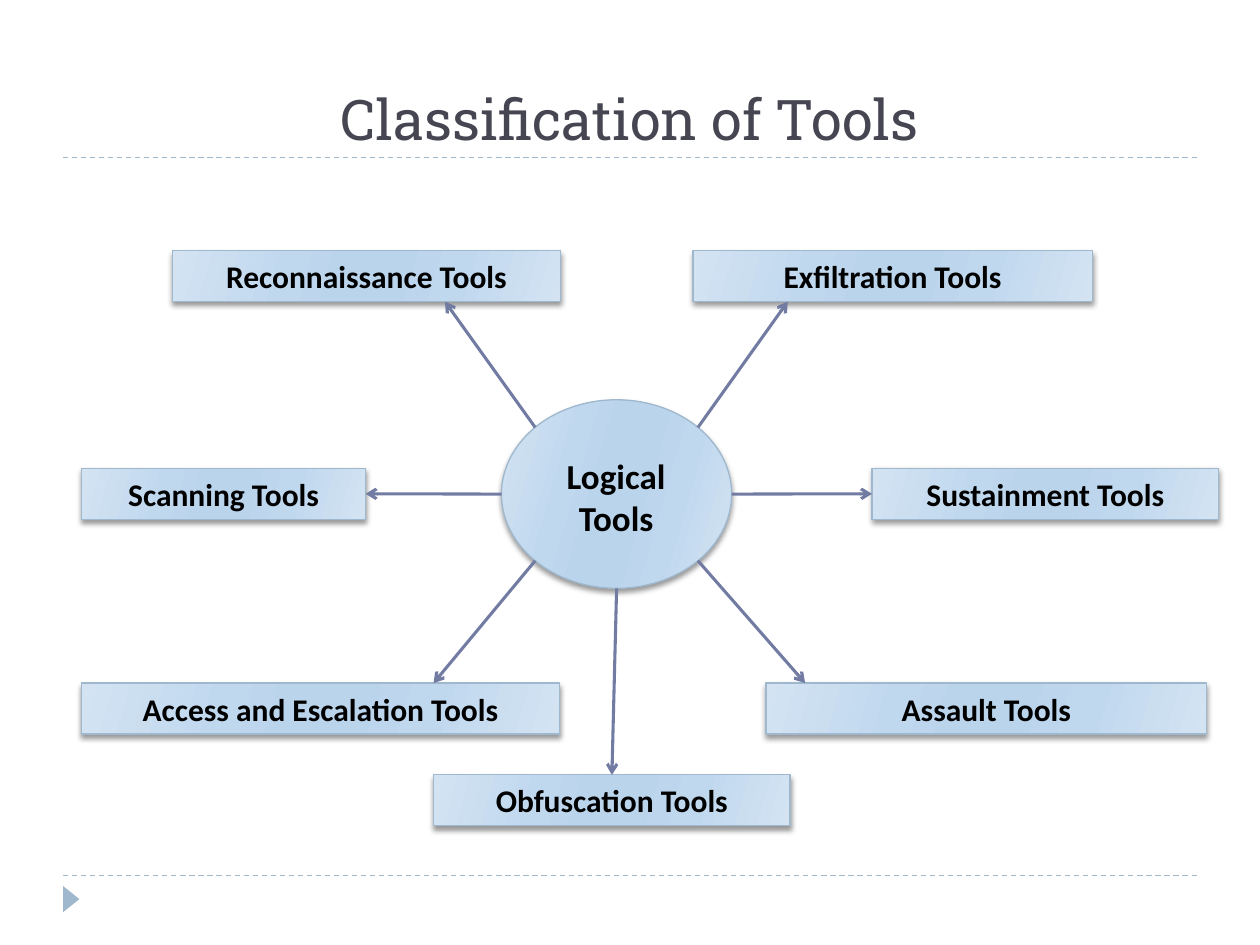
import math
import pptx
import pptx.util
import pptx.dml.color
import pptx.enum.dml
import pptx.enum.shapes
import pptx.enum.text
import pptx.oxml.ns
import lxml.etree

Cm, Pt, qn = pptx.util.Cm, pptx.util.Pt, pptx.oxml.ns.qn
Kind = pptx.enum.shapes.MSO_SHAPE
Sub = lxml.etree.SubElement
STOPS = [(0, "D3E3F2"), (30, "C0D8EE"), (45, "BAD4EC"),
         (55, "BAD4EC"), (73, "C0D8EE"), (100, "D3E3F2")]


def paint(item, color):
    """Set the colour of a font, fill or line from a hex string."""
    target = item if hasattr(item, "rgb") else item.color if hasattr(item, "color") else item.fore_color
    target.rgb = pptx.dml.color.RGBColor.from_string(color)


def write(frame, text, size, face, color, bold):
    frame.word_wrap = True
    frame.text = text
    para = frame.paragraphs[0]
    para.alignment = pptx.enum.text.PP_ALIGN.CENTER
    font = para.runs[0].font
    font.size, font.name, font.bold = Pt(size), face, bold
    paint(font, color)


deck = pptx.Presentation()
deck.slide_width, deck.slide_height = Cm(25.4), Cm(19.05)
slide = deck.slides.add_slide(deck.slide_layouts[6])
shapes = slide.shapes

# Dashed rules and corner mark
lines = []
for y in (17.65, 3.17):
    rule = shapes.add_connector(1, Cm(1.27), Cm(y), Cm(24.13), Cm(y))
    rule.line.width = Pt(0.75)
    rule.line.dash_style = pptx.enum.dml.MSO_LINE.DASH
    paint(rule.line, "9FB8CD")
    lines.append(rule)
mark = shapes.add_shape(Kind.ISOSCELES_TRIANGLE, Cm(1.17), Cm(17.96), Cm(0.53), Cm(0.33))
mark.rotation = 90
mark.shadow.inherit = False
mark.fill.solid()
paint(mark.fill, "9FB8CD")
mark.line.fill.background()

# Title
title = shapes.add_textbox(Cm(1.27), Cm(0.64), Cm(22.86), Cm(2.54))
title.text_frame.vertical_anchor = pptx.enum.text.MSO_ANCHOR.BOTTOM
write(title.text_frame, "Classification of Tools", 32, "Roboto Slab", "464653", False)

# Tools: text, left, top, width, angle at the hub, arrow x, arrow y or joined side
high = 1.03
tools = [
    ("Obfuscation Tools", 8.74, 15.62, 7.19, 90, 0),
    ("Assault Tools", 15.44, 13.77, 8.89, 45, (16.23, 13.77)),
    ("Reconnaissance Tools", 3.48, 5.05, 7.82, 225, (8.97, 5.05 + high)),
    ("Access and Escalation Tools", 1.65, 13.77, 9.63, 135, (8.74, 13.77)),
    ("Sustainment Tools", 17.58, 9.44, 6.99, 0, 1),
    ("Exfiltration Tools", 13.97, 5.05, 8.05, 315, (15.88, 5.05 + high)),
    ("Scanning Tools", 1.65, 9.44, 5.72, 180, 3),
]
boxes = []
for text, x, y, wide, turn, goal in tools:
    box = shapes.add_shape(Kind.RECTANGLE, Cm(x), Cm(y), Cm(wide), Cm(high))
    write(box.text_frame, text, 18, "Calibri", "000000", True)
    boxes.append(box)

# Hub
mid_x, mid_y, rad_x, rad_y = 12.43, 9.96, 2.32, 1.9
hub = shapes.add_shape(Kind.OVAL, Cm(mid_x - rad_x), Cm(mid_y - rad_y),
                       Cm(2 * rad_x), Cm(2 * rad_y))
label = shapes.add_textbox(Cm(10.98), Cm(9.04), Cm(2.88), Cm(1.97))
write(label.text_frame, "Logical Tools", 20, "Calibri", "000000", True)

# Shared gradient, outline and shadow
for shape in boxes + [hub]:
    shape.fill.gradient()
    shape.fill.gradient_angle = 344
    props = shape._element.spPr
    stops = props.find(".//" + qn("a:gsLst"))
    stops.clear()
    for place, color in STOPS:
        stop = Sub(stops, qn("a:gs"), pos=str(place * 1000))
        Sub(stop, qn("a:srgbClr"), val=color)
    shape.line.width = Pt(0.75)
    paint(shape.line, "9FB8CD")
    shape.shadow.inherit = False
    shade = Sub(props.find(qn("a:effectLst")), qn("a:outerShdw"), blurRad=str(Pt(3)),
                dist=str(Pt(2)), dir="5400000", rotWithShape="0")
    black = Sub(shade, qn("a:srgbClr"), val="000000")
    Sub(black, qn("a:alpha"), val="40000")

# Arrows from the hub's rim to the tools
for box, (text, x, y, wide, turn, goal) in zip(boxes, tools):
    rad = math.radians(turn)
    from_x = Cm(mid_x + rad_x * math.cos(rad))
    from_y = Cm(mid_y + rad_y * math.sin(rad))
    joined = isinstance(goal, int)
    to_x, to_y = (x, y) if joined else goal
    arrow = shapes.add_connector(1, from_x, from_y, Cm(to_x), Cm(to_y))
    if joined:
        arrow.end_connect(box, goal)
    arrow.line.width = Pt(1.75)
    paint(arrow.line, "727CA3")
    Sub(arrow.line._get_or_add_ln(), qn("a:tailEnd"), type="arrow")
    lines.append(arrow)

# No shadow on any line
for line in lines:
    Sub(line._element.spPr, qn("a:effectLst"))

deck.save("out.pptx")
